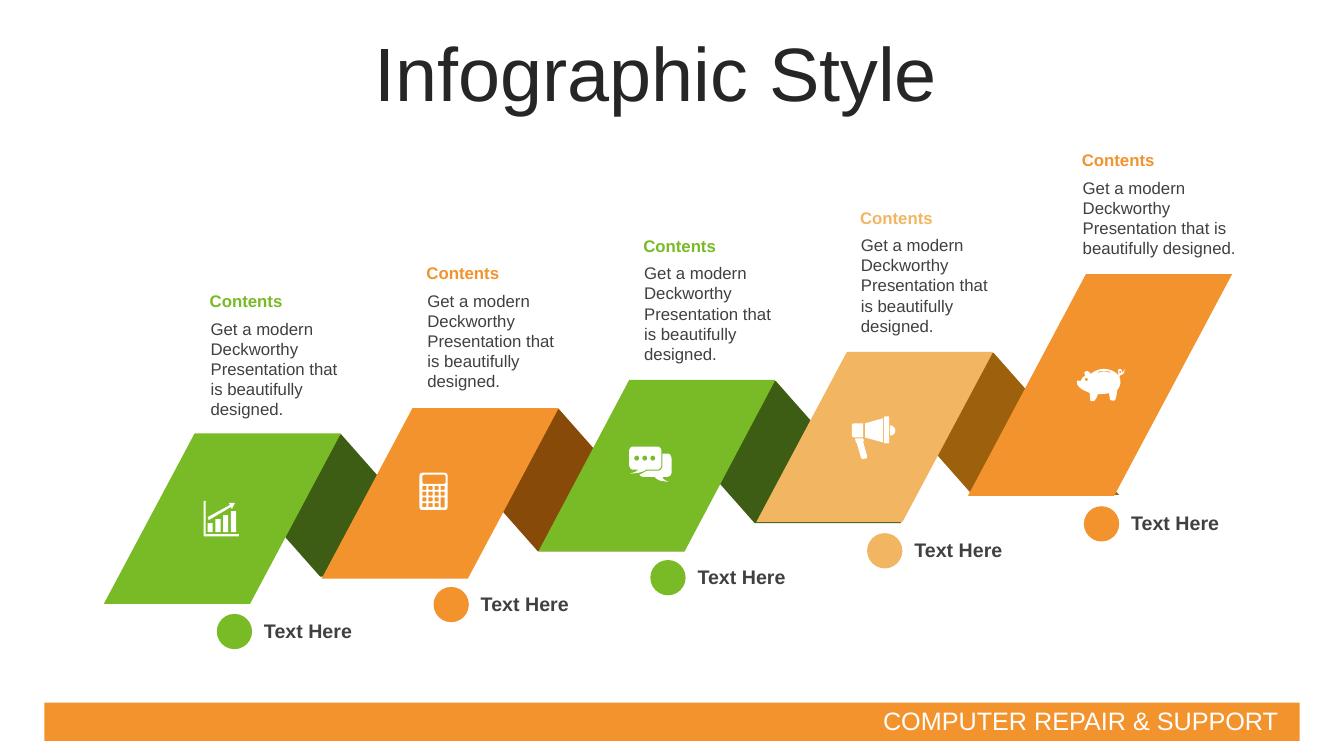
"""Build a five-step folded ribbon infographic slide."""
from dataclasses import dataclass
from math import cos, pi, sin

from pptx import Presentation
from pptx.dml.color import RGBColor
from pptx.enum.shapes import MSO_SHAPE as Preset
from pptx.enum.text import MSO_ANCHOR as Anchor, MSO_AUTO_SIZE as AutoSize, PP_ALIGN as Align
from pptx.util import Inches, Pt

Point = tuple[float, float]
Contour = list[Point]

GREEN = RGBColor(0x79, 0xBA, 0x27)
ORANGE = RGBColor(0xF3, 0x93, 0x2D)
SAND = RGBColor(0xF2, 0xB6, 0x62)
DARK_GREEN = RGBColor(0x3D, 0x5D, 0x14)
DARK_ORANGE = RGBColor(0x88, 0x4A, 0x08)
DARK_SAND = RGBColor(0x9D, 0x61, 0x0D)
WHITE = RGBColor(0xFF, 0xFF, 0xFF)
TITLE_GRAY = RGBColor(0x26, 0x26, 0x26)
TEXT_GRAY = RGBColor(0x40, 0x40, 0x40)

FONT = "Arial"
DESCRIPTION = "Get a modern Deckworthy Presentation that is beautifully designed."
PANEL_WIDTH = 1.45
STEP_X = 2.15
STEP_Y = 0.267

BACK_BUBBLE = """
M 6.57 4.5 L 6.62 4.5 C 6.64 4.5 6.66 4.52 6.66 4.55 L 6.66 4.69 C 6.66 4.71 6.64 4.73 6.62 4.73
L 6.57 4.73 C 6.58 4.75 6.58 4.76 6.63 4.78 C 6.54 4.77 6.53 4.77 6.49 4.73 L 6.38 4.73
C 6.36 4.73 6.35 4.72 6.34 4.71 C 6.37 4.7 6.39 4.68 6.42 4.67 L 6.53 4.67
C 6.55 4.67 6.57 4.65 6.57 4.62"""
FRONT_BUBBLE = """
M 6.28 4.43 L 6.52 4.43 C 6.54 4.43 6.56 4.45 6.56 4.47 L 6.56 4.61 C 6.56 4.64 6.54 4.66 6.52 4.66
L 6.41 4.66 C 6.36 4.69 6.34 4.69 6.25 4.7 C 6.3 4.68 6.31 4.68 6.33 4.66 L 6.28 4.66
C 6.26 4.66 6.24 4.64 6.24 4.61 L 6.24 4.47 C 6.24 4.45 6.26 4.43 6.28 4.43"""
MEGAPHONE = """
M 8.56 4.35 L 8.57 4.37 C 8.57 4.37 8.57 4.38 8.56 4.38 L 8.6 4.52 C 8.6 4.53 8.6 4.55 8.59 4.55
L 8.57 4.55 C 8.56 4.56 8.54 4.55 8.54 4.54 L 8.5 4.4 C 8.5 4.4 8.49 4.39 8.49 4.39 L 8.48 4.35
M 8.83 4.22 C 8.86 4.22 8.88 4.25 8.88 4.27 C 8.88 4.3 8.86 4.32 8.83 4.32
M 8.47 4.2 L 8.56 4.2 L 8.56 4.34 L 8.47 4.34 C 8.46 4.34 8.45 4.33 8.45 4.32 L 8.45 4.22
C 8.45 4.21 8.46 4.2 8.47 4.2
M 8.76 4.15 L 8.76 4.39 L 8.58 4.34 L 8.58 4.2"""
PIG_SLOT = """
M 10.95 3.68 C 10.93 3.68 10.91 3.68 10.89 3.69 L 10.89 3.7 C 10.93 3.68 10.97 3.68 11.01 3.7
L 11.01 3.69 C 10.99 3.68 10.97 3.68 10.95 3.68"""
PIG_BACK = """
M 10.94 3.66 C 11 3.66 11.05 3.68 11.08 3.71 L 11.09 3.72 C 11.09 3.72 11.09 3.72 11.1 3.71
C 11.09 3.71 11.09 3.7 11.09 3.69 C 11.09 3.67 11.09 3.66 11.11 3.66
C 11.12 3.66 11.13 3.68 11.13 3.69 C 11.13 3.7 11.14 3.7 11.15 3.66
C 11.16 3.7 11.14 3.71 11.12 3.72 C 11.11 3.72 11.11 3.73 11.1 3.74 L 11.11 3.76"""
PIG_BELLY = """
C 11.12 3.81 11.1 3.85 11.08 3.87 C 11.08 3.91 11.07 3.94 11.06 3.97
C 11.05 3.98 11.02 3.97 11.01 3.97 C 11.01 3.95 11 3.93 11 3.9 C 10.96 3.91 10.92 3.91 10.89 3.91
C 10.88 3.94 10.87 3.96 10.85 3.98 L 10.82 3.98 C 10.81 3.98 10.81 3.93 10.81 3.9
C 10.77 3.88 10.67 3.85 10.68 3.78 C 10.68 3.77 10.71 3.78 10.72 3.78
C 10.73 3.75 10.74 3.74 10.76 3.73 C 10.76 3.71 10.75 3.69 10.76 3.69
C 10.79 3.67 10.8 3.69 10.82 3.71 C 10.85 3.68 10.91 3.66 10.94 3.66"""
CHART_FRAME = """
M 2.27 4.99 L 2.33 4.99 L 2.3 5.05 L 2.29 5.03 L 2.07 5.16 L 2.06 5.13 L 2.28 5.01
M 2.02 4.97 L 2.04 4.97 L 2.04 5.3 L 2.37 5.3 L 2.37 5.32 L 2.02 5.32"""


def trace(*outlines: str) -> list[Contour]:
    """Turn move, line and curve commands into closed contours."""
    contours: list[Contour] = []
    tokens = iter(" ".join(outlines).split())
    for command in tokens:
        points = [(float(next(tokens)), float(next(tokens))) for _ in range(3 if command == "C" else 1)]
        if command == "M":
            contours.append(points)
        elif command == "L":
            contours[-1] += points
        else:
            controls = [contours[-1][-1], *points]
            for t in (n / 6 for n in range(1, 7)):
                weights = ((1 - t) ** 3, 3 * t * (1 - t) ** 2, 3 * t * t * (1 - t), t ** 3)
                contours[-1].append((sum(w * p[0] for w, p in zip(weights, controls)),
                                     sum(w * p[1] for w, p in zip(weights, controls))))
    return contours


def rounded(left: float, top: float, width: float, height: float, radius: float) -> Contour:
    """Return the contour of a rounded rectangle."""
    right, bottom = left + width - radius, top + height - radius
    centers = ((right, bottom), (left + radius, bottom), (left + radius, top + radius), (right, top + radius))
    return [(x + radius * cos((corner + n / 4) * pi / 2), y + radius * sin((corner + n / 4) * pi / 2))
            for corner, (x, y) in enumerate(centers) for n in range(5)]


def calculator_icon() -> list[Contour]:
    """Return a calculator whose last key spans two rows."""
    keys = [rounded(4.19 + 0.06 * column, 4.82 + 0.057 * row, 0.04,
                    0.1 if (column, row) == (3, 2) else 0.04, 0.005)
            for row in range(4) for column in range(4) if (column, row) != (3, 3)]
    return [*keys, rounded(4.19, 4.71, 0.23, 0.09, 0.015), rounded(4.16, 4.69, 0.28, 0.37, 0.03)]


CHART_BARS = [rounded(2.06 + 0.077 * n, 5.19 - 0.04 * n, 0.05, 0.09 + 0.04 * n, 0) for n in range(4)]
CHART_ICON = CHART_BARS + trace(CHART_FRAME)
BUBBLE_DOTS = [rounded(6.29 + 0.08 * n, 4.52, 0.05, 0.05, 0.025) for n in range(3)]
BUBBLES_ICON = BUBBLE_DOTS + trace(BACK_BUBBLE, FRONT_BUBBLE)
MEGAPHONE_ICON = [*trace(MEGAPHONE), rounded(8.77, 4.13, 0.05, 0.27, 0.01)]
PIG_ICON = [rounded(10.76, 3.75, 0.03, 0.03, 0.015), rounded(11.1, 3.68, 0.02, 0.02, 0.01),
            *trace(PIG_SLOT, PIG_BACK, PIG_BELLY)]


@dataclass
class Step:
    """One ribbon panel with its fold, icon and text position."""
    color: RGBColor
    fold_color: RGBColor | None
    left: float
    top: float
    lean: float
    height: float
    text_left: float
    text_top: float
    text_width: float
    icon: list[Contour]


STEPS = [
    Step(GREEN, DARK_GREEN, 1.03, 4.3, 0.9, 1.69, 1.96, 2.84, 1.52, CHART_ICON),
    Step(ORANGE, DARK_ORANGE, 3.19, 4.05, 0.9, 1.69, 4.11, 2.56, 1.52, calculator_icon()),
    Step(GREEN, DARK_GREEN, 5.34, 3.77, 0.9, 1.7, 6.26, 2.29, 1.52, BUBBLES_ICON),
    Step(SAND, DARK_SAND, 7.5, 3.49, 0.9, 1.69, 8.41, 2.01, 1.52, MEGAPHONE_ICON),
    Step(ORANGE, None, 9.6, 2.72, 1.17, 2.2, 10.61, 1.44, 2.04, PIG_ICON),
]


def paint(shape, color: RGBColor) -> None:
    """Give a shape a flat fill without line or shadow."""
    shape.shadow.inherit = False
    shape.fill.solid()
    shape.fill.fore_color.rgb = color
    shape.line.fill.background()


def add_preset(slide, preset: Preset, box: tuple, color: RGBColor):
    """Add a flat preset shape."""
    shape = slide.shapes.add_shape(preset, *map(Inches, box))
    paint(shape, color)
    return shape


def add_outline(slide, contours: list[Contour], color: RGBColor) -> None:
    """Add one freeform made of closed contours."""
    scaled = [[(Inches(x), Inches(y)) for x, y in contour] for contour in contours]
    builder = slide.shapes.build_freeform(*scaled[0][0], scale=1.0)
    for index, contour in enumerate(scaled):
        if index:
            builder.move_to(*contour[0])
        builder.add_line_segments(contour[1:], close=True)
    paint(builder.convert_to_shape(), color)


def format_text(text_frame, text: str, size: int, color: RGBColor, bold: bool = False) -> None:
    """Set the text of a frame and format its run."""
    text_frame.text = text
    font = text_frame.paragraphs[0].runs[0].font
    font.name, font.size, font.bold = FONT, Pt(size), bold
    font.color.rgb = color


def add_text(slide, box: tuple, text: str, size: int, color: RGBColor, bold: bool = False):
    """Add a wrapping text box and return its frame."""
    text_frame = slide.shapes.add_textbox(*map(Inches, box)).text_frame
    text_frame.word_wrap = True
    text_frame.auto_size = AutoSize.SHAPE_TO_FIT_TEXT
    format_text(text_frame, text, size, color, bold)
    return text_frame


def add_step(slide, index: int, step: Step) -> None:
    """Add a panel with its icon, description and dotted label."""
    right, bottom = step.left + PANEL_WIDTH, step.top + step.height
    add_outline(slide, [[(right + step.lean, step.top), (right, bottom),
                         (step.left, bottom), (step.left + step.lean, step.top)]], step.color)
    add_outline(slide, step.icon, WHITE)
    add_text(slide, (step.text_left + 0.03, step.text_top + 0.27, step.text_width, 1.11),
             DESCRIPTION, 12, TEXT_GRAY)
    heading = add_text(slide, (step.text_left, step.text_top, step.text_width, 0.3),
                       "Contents", 12, step.color, True)
    heading.margin_left = heading.margin_right = Inches(0.12)
    dot_left, dot_top = 2.15 + STEP_X * index, 6.09 - STEP_Y * index
    add_preset(slide, Preset.OVAL, (dot_left, dot_top, 0.35, 0.35), step.color)
    add_text(slide, (dot_left + 0.37, dot_top, 1.13, 0.34), "Text Here", 14, TEXT_GRAY, True)


def main() -> None:
    """Build and save the slide."""
    presentation = Presentation()
    presentation.slide_width, presentation.slide_height = Inches(13.33), Inches(7.5)
    slide = presentation.slides.add_slide(presentation.slide_layouts[5])
    add_preset(slide, Preset.RECTANGLE, (0.44, 6.97, 12.45, 0.38), ORANGE)
    footer = add_text(slide, (8.66, 6.95, 4.23, 0.4), "COMPUTER REPAIR & SUPPORT", 18, WHITE)
    footer.word_wrap = False
    footer.vertical_anchor = Anchor.MIDDLE
    title = slide.shapes.title
    title.left, title.top, title.width, title.height = map(Inches, (0, 0.37, 13.01, 0.79))
    title.text_frame.vertical_anchor = Anchor.MIDDLE
    format_text(title.text_frame, "Infographic Style", 54, TITLE_GRAY)
    title.text_frame.paragraphs[0].alignment = Align.CENTER
    title.text_frame.paragraphs[0].line_spacing = 0.9
    for step in STEPS[:-1]:
        fold = add_preset(slide, Preset.PARALLELOGRAM,
                          (step.left + step.lean, step.top + 0.01, 2.7, 1.41), step.fold_color)
        fold.adjustments[0] = 0.883
        fold.element.spPr.get_or_add_xfrm().set("flipH", "1")
    for index, step in enumerate(STEPS):
        add_step(slide, index, step)
    presentation.save("out.pptx")


if __name__ == "__main__":
    main()
